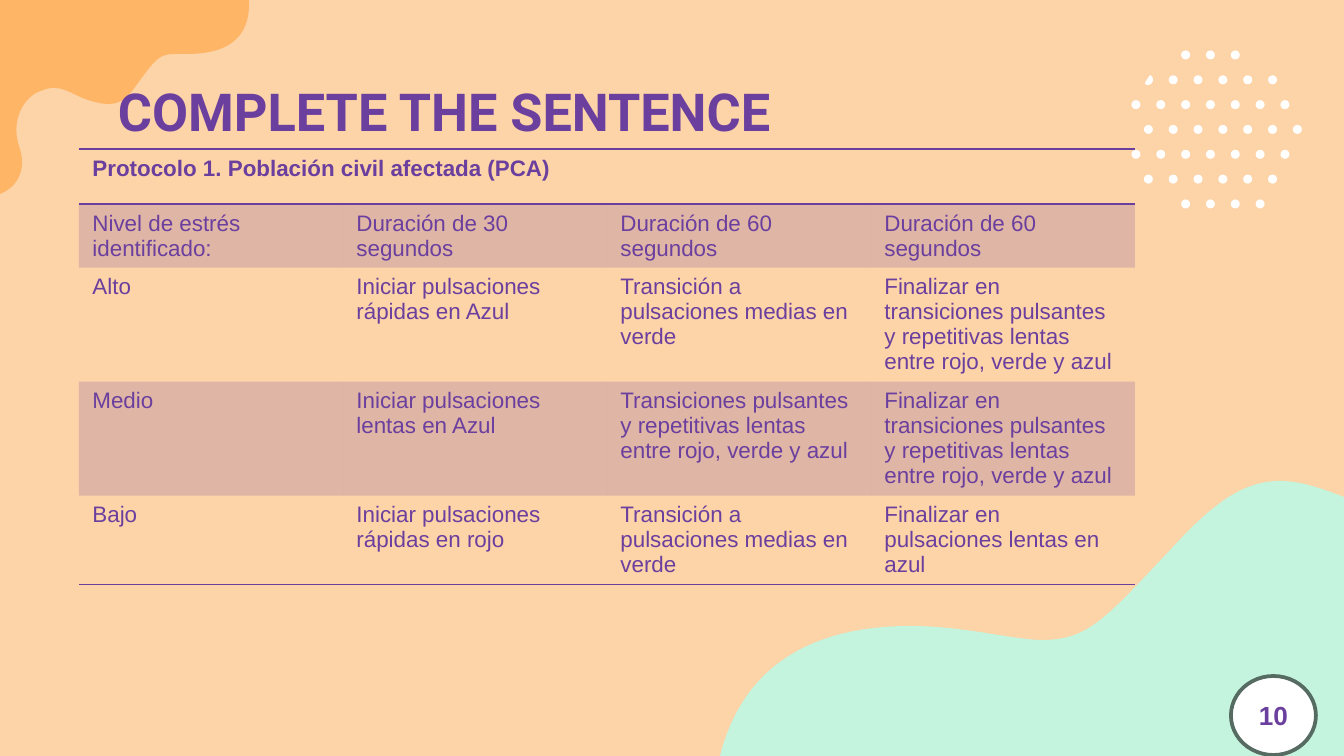
from typing import NamedTuple

from lxml import etree
from pptx import Presentation
from pptx.dml.color import RGBColor
from pptx.enum.shapes import MSO_SHAPE
from pptx.enum.text import MSO_ANCHOR, MSO_AUTO_SIZE, PP_ALIGN
from pptx.oxml.ns import qn
from pptx.util import Emu, Pt

ELLIPSE = MSO_SHAPE.OVAL
LEFT, CENTER = PP_ALIGN.LEFT, PP_ALIGN.CENTER
TOP, MIDDLE = MSO_ANCHOR.TOP, MSO_ANCHOR.MIDDLE
FIXED_SIZE = MSO_AUTO_SIZE.NONE

EMU_PER_PX = 9144000 / 1344
PURPLE, WHITE, PEACH = "6B3F9E", "FFFFFF", "FDD3A8"
MINT, ORANGE, GREY_GREEN = "C4F4DE", "FFB566", "566B61"
TITLE_ONLY = 5
INSET = 13


class Point(NamedTuple):
    x: float
    y: float


class Blob(NamedTuple):
    """An outline whose segments hold one point (line) or three (Bézier curve)."""
    color: str
    start: Point
    segments: list[list[tuple[int, int]]]


class DotRow(NamedTuple):
    """Dots on every second half-step of the grid, first to last."""
    first: int
    last: int


BLOBS = [
    Blob(MINT, Point(1280, 481), [
        [(1245, 481), (1215, 501), (1173, 547)],
        [(1107, 617), (1089, 640), (1043, 640)],
        [(1028, 640), (1012, 637), (992, 634)],
        [(962, 629), (935, 626), (910, 626)],
        [(813, 626), (743, 665), (720, 756)],
        [(1344, 756)],
        [(1344, 497)],
        [(1318, 487), (1299, 481), (1280, 481)],
    ]),
    Blob(ORANGE, Point(0, 0), [
        [(0, 194)],
        [(16, 188), (28, 171), (19, 146)],
        [(12, 124), (20, 103), (36, 93)],
        [(43, 90), (48, 88), (54, 88)],
        [(66, 88), (77, 97), (91, 101)],
        [(98, 103), (103, 104), (109, 104)],
        [(120, 104), (128, 98), (138, 83)],
        [(156, 59), (159, 54), (176, 54)],
        [(188, 54)],
        [(226, 54), (251, 39), (249, 0)],
    ]),
    Blob(WHITE, Point(1150, 75), [
        [(1148, 78), (1146, 81), (1145, 83)],
        [(1145, 84), (1146, 85), (1148, 85)],
        [(1151, 85), (1153, 82), (1153, 80)],
        [(1153, 78), (1152, 76), (1150, 75)],
    ]),
]

DOT_ORIGIN, DOT_SIZE = Point(1136, 55), 9
DOT_GRID_HEIGHT = 149
DOT_ROWS = [DotRow(4, 8), DotRow(3, 11), DotRow(0, 12), DotRow(1, 13),
            DotRow(0, 12), DotRow(1, 11), DotRow(4, 10)]

TABLE_LEFT, TABLE_TOP, COLUMN_WIDTH = 79, 149, 264
ROW_HEIGHTS = [55, 63, 114, 114, 89]
SHADED_ROWS = {1, 3}
RULED_EDGES = {0, 1, 5}
TABLE_ROWS = [
    ["Protocolo 1. Población civil afectada (PCA)"],
    ["Nivel de estrés identificado:", "Duración de 30 segundos",
     "Duración de 60 segundos", "Duración de 60 segundos"],
    ["Alto", "Iniciar pulsaciones rápidas en Azul",
     "Transición a pulsaciones medias en verde",
     "Finalizar en transiciones pulsantes y repetitivas lentas entre rojo, verde y azul"],
    ["Medio", "Iniciar pulsaciones lentas en Azul",
     "Transiciones pulsantes y repetitivas lentas entre rojo, verde y azul",
     "Finalizar en transiciones pulsantes y repetitivas lentas entre rojo, verde y azul"],
    ["Bajo", "Iniciar pulsaciones rápidas en rojo",
     "Transición a pulsaciones medias en verde",
     "Finalizar en pulsaciones lentas en azul"],
]


def px(length: float) -> Emu:
    return Emu(round(length * EMU_PER_PX))


def rgb(color: str) -> RGBColor:
    return RGBColor.from_string(color)


def paint(shape, color: str) -> None:
    shape.shadow.inherit = False
    shape.fill.solid()
    shape.fill.fore_color.rgb = rgb(color)
    shape.line.fill.background()


def add_span(para, text: str, size: int, font: str = "Arial", bold: bool = False) -> None:
    span = para.add_run()
    span.text = text
    span.font.name, span.font.size, span.font.bold = font, Pt(size), bold
    span.font.color.rgb = rgb(PURPLE)


def curve_points(start: Point, controls: list[tuple[int, int]], steps: int = 24) -> list[Point]:
    """Sample a cubic Bézier curve, leaving out its start."""
    points = []
    for step in range(1, steps + 1):
        t = step / steps
        weights = ((1 - t) ** 3, 3 * t * (1 - t) ** 2, 3 * t * t * (1 - t), t ** 3)
        points.append(Point(*(sum(w * value for w, value in zip(weights, axis))
                              for axis in zip(start, *controls))))
    return points


def draw_blob(page, blob: Blob) -> None:
    points = [blob.start]
    for segment in blob.segments:
        if len(segment) == 1:
            points.append(Point(*segment[0]))
        else:
            points += curve_points(points[-1], segment)
    corners = [(px(point.x), px(point.y)) for point in points]
    builder = page.shapes.build_freeform(*corners[0])
    builder.add_line_segments(corners[1:])
    paint(builder.convert_to_shape(), blob.color)


def draw_dots(page) -> None:
    row_step = DOT_GRID_HEIGHT / (len(DOT_ROWS) - 1)
    for index, row in enumerate(DOT_ROWS):
        for half_step in range(row.first, row.last + 1, 2):
            x = DOT_ORIGIN.x + half_step * row_step / 2 - DOT_SIZE / 2
            y = DOT_ORIGIN.y + index * row_step - DOT_SIZE / 2
            dot = page.shapes.add_shape(ELLIPSE, px(x), px(y), px(DOT_SIZE), px(DOT_SIZE))
            paint(dot, WHITE)


def set_title(page, text: str) -> None:
    title = page.shapes.title
    page.shapes.element.append(title.element)  # in front of the blobs
    title.left, title.top, title.width, title.height = px(105), px(66), px(1134), px(85)
    box = title.text_frame
    box.word_wrap, box.auto_size, box.vertical_anchor = True, FIXED_SIZE, TOP
    box.margin_left = box.margin_right = box.margin_top = box.margin_bottom = px(INSET)
    box.paragraphs[0].alignment = LEFT
    add_span(box.paragraphs[0], text, 28, "Roboto", True)


def set_border(properties, side: str, ruled: bool) -> None:
    line = etree.SubElement(properties, qn(f"a:{side}"), w=str(Pt(1)))
    if ruled:
        fill = etree.SubElement(line, qn("a:solidFill"))
        etree.SubElement(fill, qn("a:srgbClr"), val=PURPLE)
    else:
        etree.SubElement(line, qn("a:noFill"))


def draw_table(page) -> None:
    columns = len(TABLE_ROWS[-1])
    frame = page.shapes.add_table(len(TABLE_ROWS), columns, px(TABLE_LEFT), px(TABLE_TOP),
                                  px(COLUMN_WIDTH * columns), px(sum(ROW_HEIGHTS)))
    table = frame.table
    table.first_row = table.horz_banding = False
    for row, height in zip(table.rows, ROW_HEIGHTS):
        row.height = px(height)
    table.cell(0, 0).merge(table.cell(0, columns - 1))
    for index, (cell, element) in enumerate(zip(table.iter_cells(), frame.element.iter(qn("a:tc")))):
        row, column = divmod(index, columns)
        properties = element.get_or_add_tcPr()
        for side, ruled in (("lnL", False), ("lnR", False),
                            ("lnT", row in RULED_EDGES), ("lnB", row + 1 in RULED_EDGES)):
            set_border(properties, side, ruled)
        if row in SHADED_ROWS:
            cell.fill.solid()
            cell.fill.fore_color.rgb = rgb(PURPLE)
            shade = properties.find(qn("a:solidFill")).find(qn("a:srgbClr"))
            etree.SubElement(shade, qn("a:alpha"), val="20000")
        else:
            cell.fill.background()
        if column < len(TABLE_ROWS[row]):
            add_span(cell.text_frame.paragraphs[0], TABLE_ROWS[row][column], 12, bold=row == 0)


def draw_page_number(page, number: str) -> None:
    badge = page.shapes.add_shape(ELLIPSE, px(1231), px(676), px(85), px(79))
    paint(badge, WHITE)
    badge.line.color.rgb, badge.line.width = rgb(GREY_GREEN), Pt(2)
    badge.text_frame.vertical_anchor = MIDDLE
    para = badge.text_frame.paragraphs[0]
    para.alignment = CENTER
    add_span(para, number, 14, bold=True)


def main() -> None:
    deck = Presentation()
    deck.slide_width, deck.slide_height = px(1344), px(756)
    page = deck.slides.add_slide(deck.slide_layouts[TITLE_ONLY])
    page.background.fill.solid()
    page.background.fill.fore_color.rgb = rgb(PEACH)
    for blob in BLOBS:
        draw_blob(page, blob)
    draw_dots(page)
    set_title(page, "COMPLETE THE SENTENCE")
    draw_table(page)
    draw_page_number(page, "10")
    deck.save("out.pptx")


if __name__ == "__main__":
    main()
